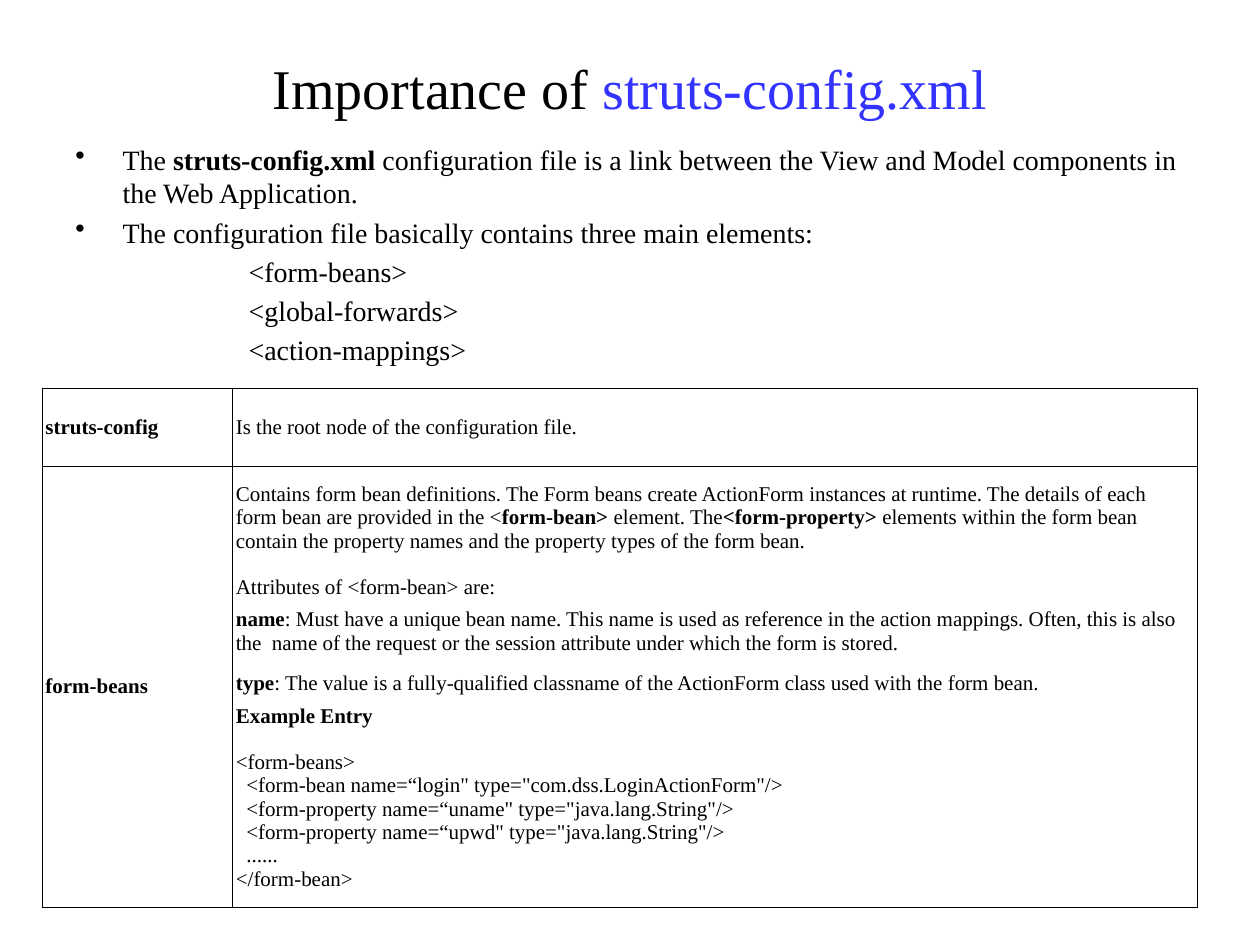
from lxml import etree
from pptx import Presentation
from pptx.dml.color import RGBColor
from pptx.enum.text import MSO_ANCHOR, PP_ALIGN
from pptx.oxml.ns import qn
from pptx.util import Pt

BLACK = RGBColor(0x00, 0x00, 0x00)
BLUE = RGBColor(0x33, 0x33, 0xFF)
FONT = "Times New Roman"
CENTER = PP_ALIGN.CENTER
MIDDLE = MSO_ANCHOR.MIDDLE
TOP = MSO_ANCHOR.TOP

BLANK_LINE = 13.3
CODE_INDENT = 6

TITLE = ["Importance of ", ("struts-config.xml", {"color": BLUE})]

BULLETS = [
    ["The\u00a0", ("struts-config.xml", {"bold": True}),
     "\u00a0configuration file is a link between the View and Model "
     "components in the Web Application."],
    ["The configuration file basically contains three main elements:"],
]
ELEMENTS = ["<form-beans>", "<global-forwards>", "<action-mappings>"]

BEAN_DETAILS = [
    (["Contains form bean definitions. The Form beans create ActionForm "
      "instances at runtime. The details of each form bean are provided in the <",
      ("form-bean>", {"bold": True}), "\u00a0element. The",
      ("<form-property>", {"bold": True}),
      "\u00a0elements within the form bean contain the property names and "
      "the property types of the form bean."], {"after": BLANK_LINE}),
    (["Attributes of <form-bean> are:"], {}),
    ([("name", {"bold": True}),
      ": Must have a unique bean name. This name is used as reference in the "
      "action mappings. Often, this is also the \u00a0name of the request or the "
      "session attribute under which the form is stored."],
     {"before": 5, "after": 5}),
    ([("type", {"bold": True}),
      ": The value is a fully-qualified classname of the ActionForm class "
      "used with the form bean."], {"before": 5, "after": 5}),
    (["Example Entry"], {"bold": True, "after": BLANK_LINE}),
    (["<form-beans>"], {}),
    (['<form-bean name=\u201clogin" type="com.dss.LoginActionForm"/>'],
     {"left": CODE_INDENT}),
    (['<form-property name=\u201cuname" type="java.lang.String"/>'],
     {"left": CODE_INDENT}),
    (['<form-property name=\u201cupwd" type="java.lang.String"/>'],
     {"left": CODE_INDENT}),
    (["......"], {"left": CODE_INDENT}),
    (["</form-bean>"], {}),
]

TABLE_ROWS = [
    ("struts-config", [(["Is the root node of the configuration file."], {})]),
    ("form-beans", BEAN_DETAILS),
]
COLUMN_WIDTHS = [108.8, 551.2]
ROW_HEIGHTS = [44.6, 192]


def write_paragraph(paragraph, parts, size=12, bold=False, color=BLACK,
                    align=None, before=0, after=0,
                    left=0, hanging=0, bullet=None):
    paragraph.alignment = align
    paragraph.space_before = Pt(before)
    paragraph.space_after = Pt(after)
    properties = paragraph._p.get_or_add_pPr()
    properties.set("marL", str(Pt(left)))
    properties.set("indent", str(Pt(-hanging)))
    if bullet:
        etree.SubElement(properties, qn("a:buChar")).set("char", bullet)
    for part in parts:
        text, changes = (part, {}) if isinstance(part, str) else part
        run = paragraph.add_run()
        run.text = text
        run.font.name = FONT
        run.font.size = Pt(size)
        run.font.bold = changes.get("bold", bold)
        run.font.color.rgb = changes.get("color", color)


def write_paragraphs(frame, paragraphs):
    for index, (parts, options) in enumerate(paragraphs):
        paragraph = frame.add_paragraph() if index else frame.paragraphs[0]
        write_paragraph(paragraph, parts, **options)


def add_text(slide, left, top, width, height, paragraphs, anchor=TOP):
    box = slide.shapes.add_textbox(Pt(left), Pt(top), Pt(width), Pt(height))
    box.text_frame.word_wrap = True
    box.text_frame.vertical_anchor = anchor
    write_paragraphs(box.text_frame, paragraphs)


def add_borders(cell):
    properties = cell._tc.get_or_add_tcPr()
    for position, side in enumerate(("lnL", "lnR", "lnT", "lnB")):
        line = etree.Element(qn("a:" + side), w=str(Pt(0.6)))
        fill = etree.SubElement(line, qn("a:solidFill"))
        etree.SubElement(fill, qn("a:srgbClr")).set("val", str(BLACK))
        properties.insert(position, line)


def fill_cell(cell, paragraphs):
    cell.fill.background()
    cell.vertical_anchor = MIDDLE
    cell.margin_left = cell.margin_right = Pt(2)
    cell.margin_top = cell.margin_bottom = Pt(2)
    write_paragraphs(cell.text_frame, paragraphs)
    add_borders(cell)


def add_element_table(slide, left, top):
    table = slide.shapes.add_table(
        len(TABLE_ROWS), len(COLUMN_WIDTHS), Pt(left), Pt(top),
        Pt(sum(COLUMN_WIDTHS)), Pt(sum(ROW_HEIGHTS))).table
    table.first_row = False
    table.horz_banding = False
    for column, width in zip(table.columns, COLUMN_WIDTHS):
        column.width = Pt(width)
    for row, height, (name, details) in zip(table.rows, ROW_HEIGHTS, TABLE_ROWS):
        row.height = Pt(height)
        fill_cell(row.cells[0], [([name], {"bold": True})])
        fill_cell(row.cells[1], details)


def main():
    presentation = Presentation()
    presentation.slide_width = Pt(720)
    presentation.slide_height = Pt(540)
    slide = presentation.slides.add_slide(presentation.slide_layouts[6])

    add_text(slide, 36, 21.6, 648, 56.2,
             [(TITLE, {"size": 32, "align": CENTER})], anchor=MIDDLE)

    body = {"size": 16, "before": 3.2}
    bulleted = {**body, "left": 27, "hanging": 27, "bullet": "\u2022"}
    indented = {**body, "left": 99}
    add_text(slide, 36, 77.8, 648, 462.2,
             [(parts, bulleted) for parts in BULLETS]
             + [([element], indented) for element in ELEMENTS])

    add_element_table(slide, 24, 221.8)
    presentation.save("out.pptx")


main()
